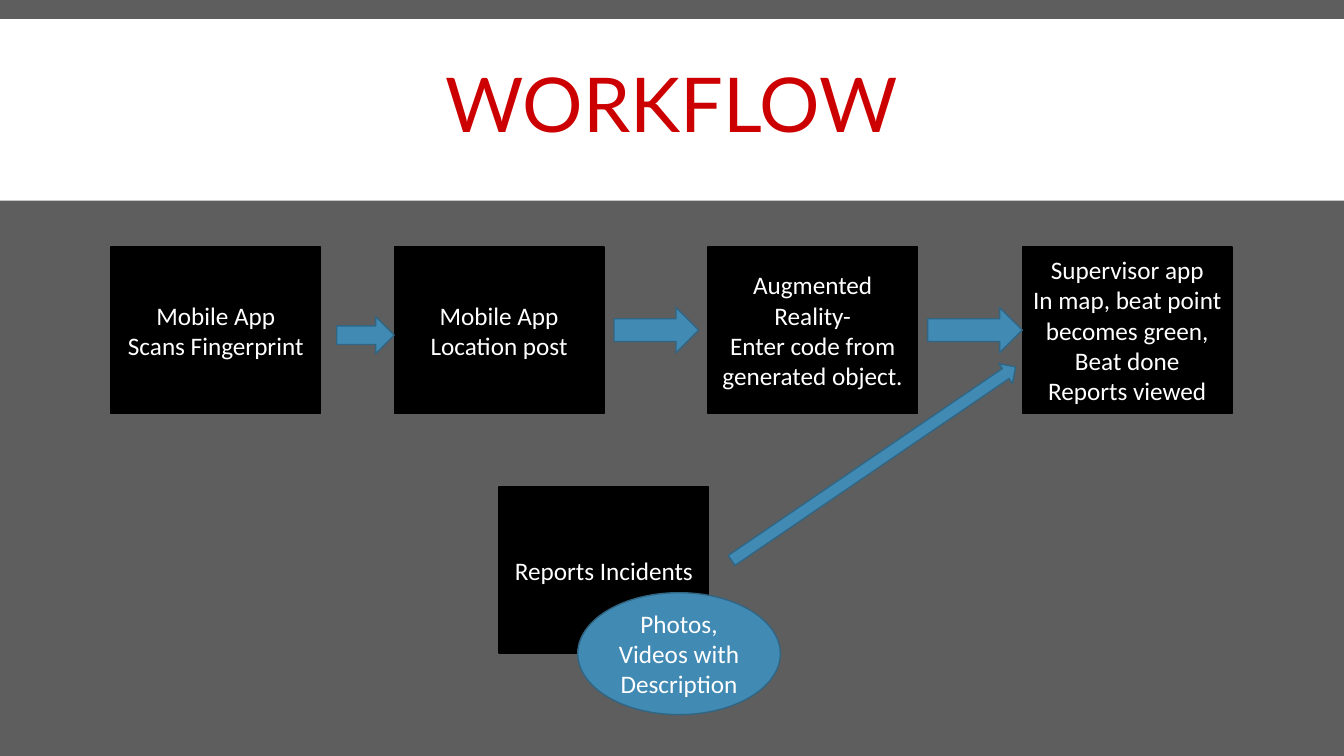
"""Builds the WORKFLOW slide: a row of app steps fed by incident reports."""
from pptx import Presentation
from pptx.dml.color import RGBColor
from pptx.enum.shapes import MSO_SHAPE
from pptx.enum.text import MSO_ANCHOR, PP_ALIGN
from pptx.util import Inches, Pt

RECT, OVAL, ARROW = MSO_SHAPE.RECTANGLE, MSO_SHAPE.OVAL, MSO_SHAPE.RIGHT_ARROW
MIDDLE, CENTER = MSO_ANCHOR.MIDDLE, PP_ALIGN.CENTER

COLORS = {"background": "5E5E5E", "band": "FFFFFF", "title": "CC0000", "step": "000000",
          "accent": "418AB3", "accent_edge": "306684", "text": "FFFFFF"}
TITLE = "WORKFLOW"
STEPS = [
    (1.1, "Mobile App\nScans Fingerprint"),
    (3.91, "Mobile App\nLocation post"),
    (7.02, "Augmented Reality-\nEnter code from generated object."),
    (10.14, "Supervisor app\nIn map, beat point becomes green,\nBeat done\nReports viewed"),
]
INCIDENTS = "Reports Incidents"
EVIDENCE = "Photos,\nVideos with\nDescription"
ARROWS = [
    (3.34, 3.14, 0.57, 0.37, 0),
    (6.09, 3.05, 0.84, 0.45, 0),
    (9.2, 3.05, 0.94, 0.45, 0),
    (6.96, 4.48, 3.41, 0.24, 325.7),
]
SLIDE_W, SLIDE_H = 13.33, 7.5
STEP_W, STEP_H = 2.08, 1.65
STEP_TOP, INCIDENTS_TOP = 2.45, 4.83


def color(name):
    return RGBColor.from_string(COLORS[name])


def write(frame, text, font, size, ink):
    frame.text = text
    frame.word_wrap = True
    frame.vertical_anchor = MIDDLE
    for paragraph in frame.paragraphs:
        paragraph.alignment = CENTER
        for run in paragraph.runs:
            run.font.name = font
            run.font.size = Pt(size)
            run.font.color.rgb = color(ink)


def add_part(slide, kind, box, fill, edge=None, text=None):
    part = slide.shapes.add_shape(kind, *map(Inches, box))
    part.shadow.inherit = False
    part.fill.solid()
    part.fill.fore_color.rgb = color(fill)
    if edge:
        part.line.color.rgb = color(edge)
        part.line.width = Pt(1)
    else:
        part.line.fill.background()
    if text:
        write(part.text_frame, text, "Calibri", 18, "text")
    return part


def add_title(slide):
    title = slide.shapes.title
    title.left, title.top, title.width, title.height = map(Inches, (0.18, 0.51, 12.96, 1.01))
    write(title.text_frame, TITLE, "Lato", 54, "title")
    slide.shapes._spTree.append(title._element)


def main():
    prs = Presentation()
    prs.slide_width, prs.slide_height = Inches(SLIDE_W), Inches(SLIDE_H)
    slide = prs.slides.add_slide(prs.slide_layouts[5])
    slide.background.fill.solid()
    slide.background.fill.fore_color.rgb = color("background")

    add_part(slide, RECT, (0, 0.19, SLIDE_W, 1.8), "band")
    boxes = [(left, STEP_TOP, text) for left, text in STEPS]
    boxes.append((4.95, INCIDENTS_TOP, INCIDENTS))
    for left, top, text in boxes:
        add_part(slide, RECT, (left, top, STEP_W, STEP_H), "step", "step", text)
    for *box, angle in ARROWS:
        add_part(slide, ARROW, box, "accent", "accent_edge").rotation = angle
    add_part(slide, OVAL, (5.73, 5.88, 2.01, 1.21), "accent", "accent_edge", EVIDENCE)
    add_title(slide)
    prs.save("out.pptx")


if __name__ == "__main__":
    main()
